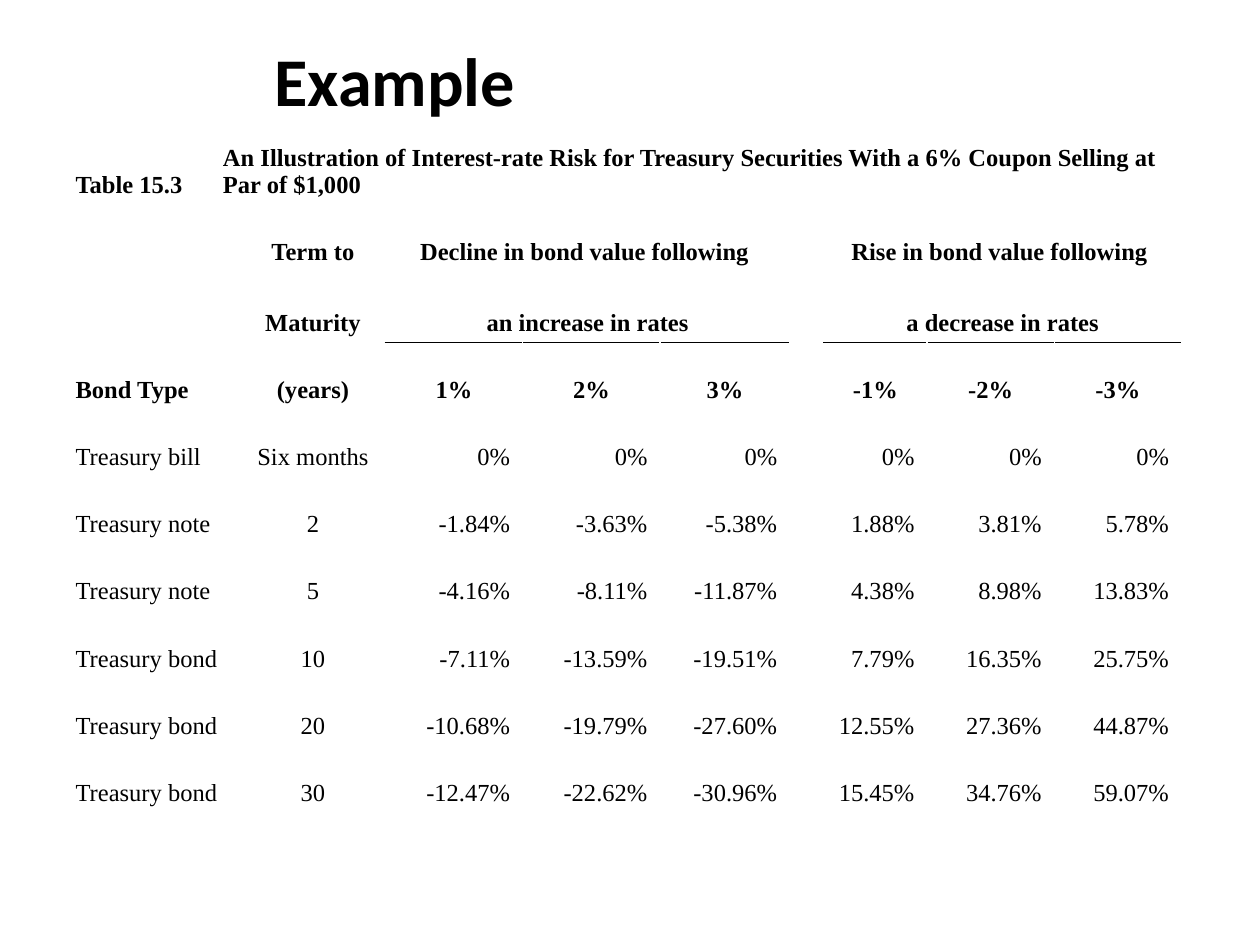
import lxml.etree
import pptx
import pptx.dml.color
import pptx.enum.text
import pptx.oxml.ns
import pptx.util

Inches = pptx.util.Inches
ALIGN = pptx.enum.text.PP_ALIGN
ANCHOR = pptx.enum.text.MSO_ANCHOR

COLORS = {"text": "000000", "rule": "000000"}
TITLE_FORMAT = {"name": "Calibri", "size": pptx.util.Pt(39), "bold": True}
HEADER_FORMAT = {"name": "Times New Roman", "size": pptx.util.Pt(14), "bold": True}
BODY_FORMAT = {**HEADER_FORMAT, "bold": False}

COLUMN_WIDTHS = [1.17, 0.23, 1.15, 1.09, 1.09, 1.03, 0.27, 0.82, 1.01, 1.01, 0.23]
HEADER_COUNT = 4
RULE_ROW = 2
RULE_ROW_HEIGHT = 0.56
TERM_COLUMN = 2
GROUP_STARTS = (3, 7)
GROUP_SIZE = 3
VALUE_COLUMNS = [start + step for start in GROUP_STARTS for step in range(GROUP_SIZE)]

CAPTION = (
    "Table 15.3",
    "An Illustration of Interest-rate Risk for Treasury Securities "
    "With a 6% Coupon Selling at Par of $1,000",
)
GROUP_HEADINGS = [
    ("Term to", "Decline in bond value following ", "Rise in bond value following "),
    ("Maturity", "an increase in rates", "a decrease in rates"),
]
BOND_ROWS = [
    ("Bond Type", "(years)", "1%", "2%", "3%", "-1%", "-2%", "-3%"),
    ("Treasury bill", "Six months", "0%", "0%", "0%", "0%", "0%", "0%"),
    ("Treasury note", "2", "-1.84%", "-3.63%", "-5.38%", "1.88%", "3.81%", "5.78%"),
    ("Treasury note", "5", "-4.16%", "-8.11%", "-11.87%", "4.38%", "8.98%", "13.83%"),
    ("Treasury bond", "10", "-7.11%", "-13.59%", "-19.51%", "7.79%", "16.35%", "25.75%"),
    ("Treasury bond", "20", "-10.68%", "-19.79%", "-27.60%", "12.55%", "27.36%", "44.87%"),
    ("Treasury bond", "30", "-12.47%", "-22.62%", "-30.96%", "15.45%", "34.76%", "59.07%"),
]


def write_text(text_frame, text, font_format, alignment):
    paragraph = text_frame.paragraphs[0]
    paragraph.alignment = alignment
    run = paragraph.add_run()
    run.text = text
    for attribute, value in font_format.items():
        setattr(run.font, attribute, value)
    run.font.color.rgb = pptx.dml.color.RGBColor.from_string(COLORS["text"])


def write_cell(table, row, column, text, alignment, span=1):
    cell = table.cell(row, column)
    if span > 1:
        cell.merge(table.cell(row, column + span - 1))
    font_format = HEADER_FORMAT if row < HEADER_COUNT else BODY_FORMAT
    write_text(cell.text_frame, text, font_format, alignment)


def add_rule(cell, side):
    qn = pptx.oxml.ns.qn
    line = lxml.etree.Element(qn("a:" + side), w=str(pptx.util.Pt(1)))
    fill = lxml.etree.SubElement(line, qn("a:solidFill"))
    lxml.etree.SubElement(fill, qn("a:srgbClr"), val=COLORS["rule"])
    cell._tc.get_or_add_tcPr().insert(0, line)


def place_title(slide, left, top, width, height):
    title = slide.shapes.title
    box = {"left": left, "top": top, "width": width, "height": height}
    for attribute, value in box.items():
        setattr(title, attribute, Inches(value))
    frame_format = {
        "word_wrap": True,
        "vertical_anchor": ANCHOR.TOP,
        "auto_size": pptx.enum.text.MSO_AUTO_SIZE.SHAPE_TO_FIT_TEXT,
    }
    for attribute, value in frame_format.items():
        setattr(title.text_frame, attribute, value)
    write_text(title.text_frame, "Example", TITLE_FORMAT, ALIGN.LEFT)


def place_bond_table(slide, left, top, width, height):
    row_count = 1 + len(GROUP_HEADINGS) + len(BOND_ROWS)
    table = slide.shapes.add_table(
        row_count, len(COLUMN_WIDTHS),
        Inches(left), Inches(top), Inches(width), Inches(height),
    ).table
    table.first_row = False
    table.horz_banding = False
    for column, column_width in zip(table.columns, COLUMN_WIDTHS):
        column.width = Inches(column_width)
    for row in table.rows:
        row.height = Inches((height - RULE_ROW_HEIGHT) / (row_count - 1))
    table.rows[RULE_ROW].height = Inches(RULE_ROW_HEIGHT)
    for cell in table.iter_cells():
        cell.fill.background()
        cell.vertical_anchor = ANCHOR.BOTTOM

    write_cell(table, 0, 0, CAPTION[0], ALIGN.LEFT)
    write_cell(table, 0, 1, CAPTION[1], ALIGN.LEFT, len(COLUMN_WIDTHS) - 1)
    for row, (term, *headings) in enumerate(GROUP_HEADINGS, 1):
        write_cell(table, row, TERM_COLUMN, term, ALIGN.CENTER)
        for start, heading in zip(GROUP_STARTS, headings):
            write_cell(table, row, start, heading, ALIGN.CENTER, GROUP_SIZE)
    for row, (bond, term, *values) in enumerate(BOND_ROWS, HEADER_COUNT - 1):
        write_cell(table, row, 0, bond, ALIGN.LEFT, 2)
        write_cell(table, row, TERM_COLUMN, term, ALIGN.CENTER)
        alignment = ALIGN.CENTER if row < HEADER_COUNT else ALIGN.RIGHT
        for column, value in zip(VALUE_COLUMNS, values):
            write_cell(table, row, column, value, alignment)
    for column in VALUE_COLUMNS:
        add_rule(table.cell(RULE_ROW, column), "lnB")
        add_rule(table.cell(RULE_ROW + 1, column), "lnT")


def main():
    presentation = pptx.Presentation()
    presentation.slide_width = Inches(10)
    presentation.slide_height = Inches(7.5)
    slide = presentation.slides.add_slide(presentation.slide_layouts[5])
    place_title(slide, 2.08, 0.25, 5.92, 0.76)
    place_bond_table(slide, 0.5, 1.06, sum(COLUMN_WIDTHS), 5.36)
    presentation.save("out.pptx")


if __name__ == "__main__":
    main()
